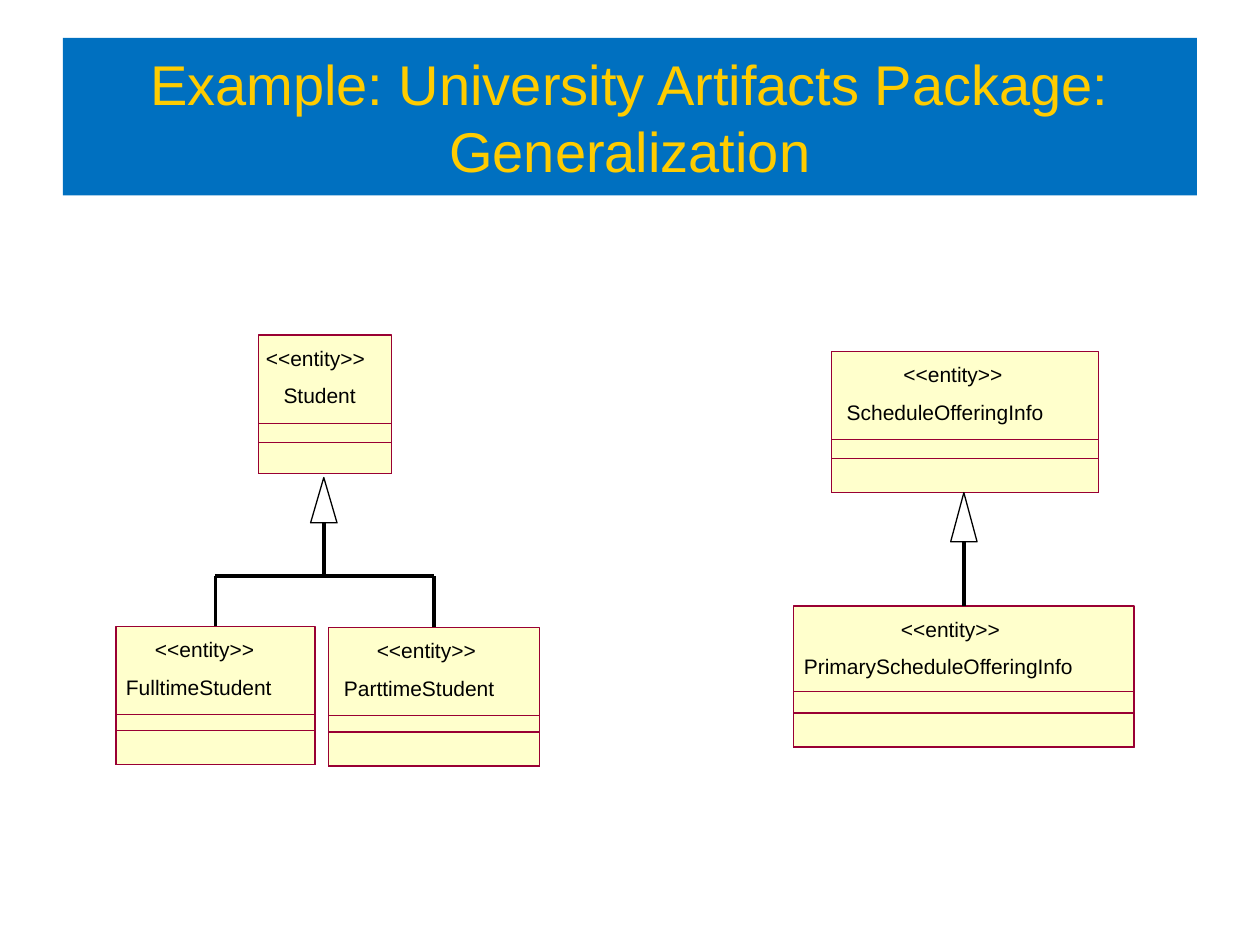
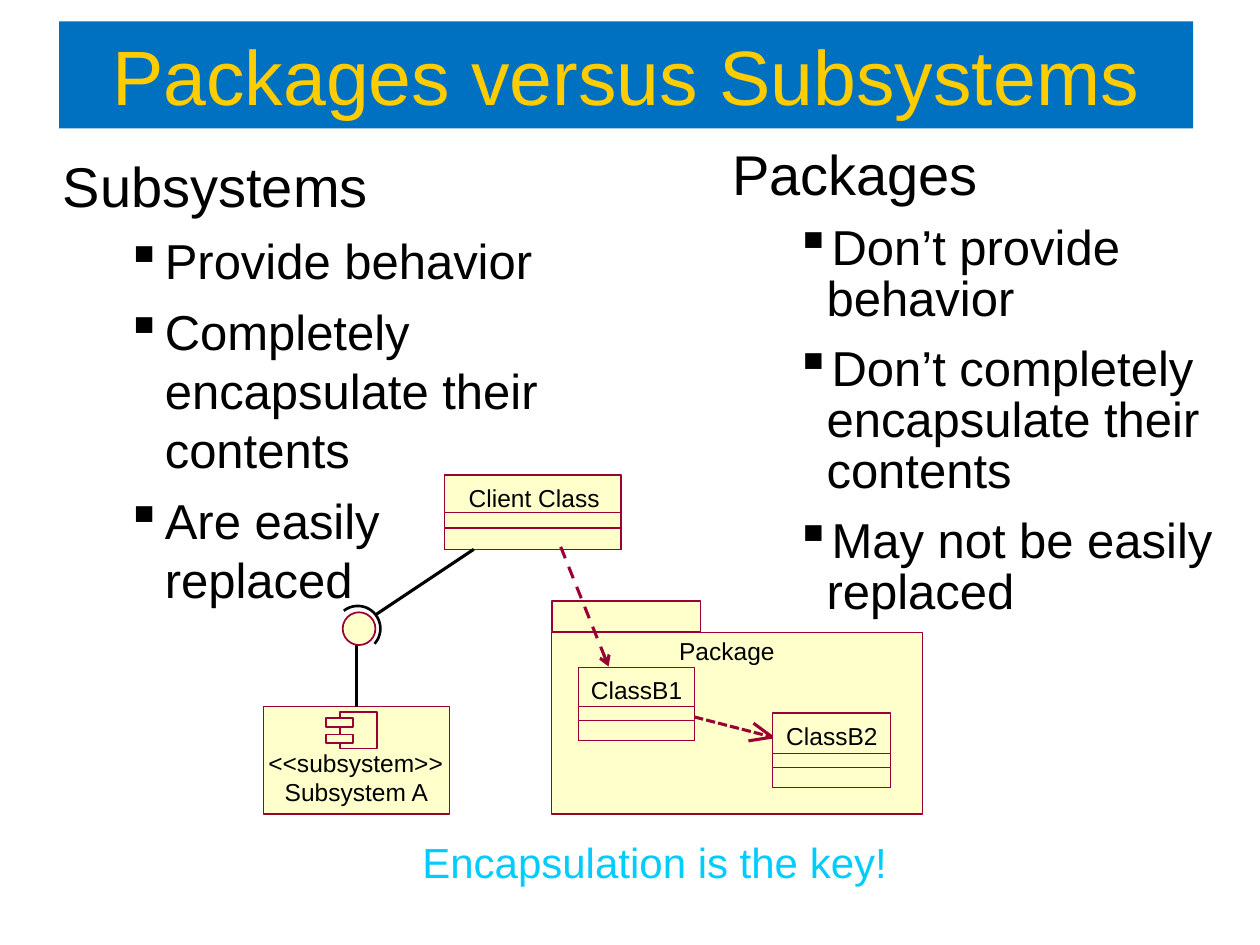
from lxml import etree
from pptx import Presentation
from pptx import util as u
from pptx.dml.color import RGBColor
from pptx.enum import dml, shapes, text
from pptx.oxml.ns import qn

CELL = 0.1
FONT = "Arial"
BLUE, GOLD, CYAN = "0070C0", "FFCC00", "00CCFF"
CREAM, WINE, BLACK = "FFFFCC", "990033", "000000"
SHAPE = shapes.MSO_SHAPE
BOLD_WINE = {"color": WINE, "width": 1.75}


def rgb(value):
    return RGBColor.from_string(value)


def grid(*cells):
    return [u.Inches(round(c * CELL, 3)) for c in cells]


def assign(obj, values):
    for name, value in values.items():
        setattr(obj, name, value)


def add_run(p, words, size, color):
    r = p.add_run()
    r.text = words
    assign(r.font, {"size": u.Pt(size), "name": FONT})
    r.font.color.rgb = rgb(color)


def set_frame(tf, insets=(1, 0.5), **values):
    x, y = grid(*insets)
    margins = {"margin_left": x, "margin_right": x, "margin_top": y, "margin_bottom": y}
    assign(tf, {**margins, "word_wrap": True, **values})


def draw_shape(s, kind, at, fill=None, line=None, width=0):
    sp = s.shapes.add_shape(kind, *grid(*at))
    sp.shadow.inherit = False
    if fill:
        sp.fill.solid()
        sp.fill.fore_color.rgb = rgb(fill)
    else:
        sp.fill.background()
    if line:
        sp.line.color.rgb = rgb(line)
        sp.line.width = u.Pt(width)
    else:
        sp.line.fill.background()
    return sp


def draw_box(s, at, fill=CREAM, width=0):
    return draw_shape(s, SHAPE.RECTANGLE, at, fill, WINE, width)


def draw_line(s, start, end, color=BLACK, width=0, dash=None, arrow=False, root=None):
    c = s.shapes.add_connector(shapes.MSO_CONNECTOR.STRAIGHT, *grid(*start, *end))
    if root is not None:
        c.begin_connect(root, 0)
    c.line.color.rgb = rgb(color)
    c.line.width = u.Pt(width)
    if dash:
        c.line.dash_style = dash
    if arrow:
        etree.SubElement(c.line._get_or_add_ln(), qn("a:tailEnd"), type="arrow")
    etree.SubElement(c._element.spPr, qn("a:effectLst"))


def add_title(s, words, at, size):
    sp = draw_shape(s, SHAPE.RECTANGLE, at, BLUE)
    set_frame(sp.text_frame, vertical_anchor=text.MSO_ANCHOR.MIDDLE)
    p = sp.text_frame.paragraphs[0]
    p.alignment = text.PP_ALIGN.CENTER
    add_run(p, words, size, GOLD)


def add_label(s, words, at, size, color=BLACK, insets=(0, 0), align=None, **values):
    tf = s.shapes.add_textbox(*grid(*at)).text_frame
    set_frame(tf, insets, word_wrap=False,
              auto_size=text.MSO_AUTO_SIZE.SHAPE_TO_FIT_TEXT, **values)
    p = tf.paragraphs[0]
    p.alignment = align
    add_run(p, words, size, color)


def add_bullets(s, at, heading, items, insets, indents, before, spacing):
    tf = s.shapes.add_textbox(*grid(*at)).text_frame
    set_frame(tf, insets)
    for i, words in enumerate([heading, *items]):
        p = tf.add_paragraph() if i else tf.paragraphs[0]
        pPr = p._p.get_or_add_pPr()
        left, hang = grid(*indents[min(i, 1)])
        pPr.set("marL", str(left))
        pPr.set("indent", str(-hang))
        if i:
            p.level = 1
            color = etree.SubElement(pPr, qn("a:buClr"))
            etree.SubElement(color, qn("a:srgbClr"), val=BLACK)
            etree.SubElement(pPr, qn("a:buChar"), char="▪")
        assign(p, {"space_before": u.Pt(before if i else 0),
                   "line_spacing": spacing[min(i, 1)]})
        add_run(p, words, 28 if i else 32, BLACK)


def add_class(s, at, compartments):
    x, y, w, h = at
    sp = draw_box(s, at)
    for depth in compartments:
        draw_box(s, (x, y + h - depth, w, depth), None)
    return sp


def add_entity(s, name, at, compartments, name_at, stereotype_at):
    sp = add_class(s, at, compartments)
    y = at[1]
    for words, (x, w), drop in (("<<entity>>", (stereotype_at, 7.9), 0.8),
                                (name, name_at, 3.8)):
        add_label(s, words, (x, y + drop, w, 2), 12)
    return sp


def add_generalization(s, tip, height, foot, root=None):
    x, y = tip
    draw_shape(s, SHAPE.ISOSCELES_TRIANGLE, (x - 1.05, y, 2.1, height), line=BLACK)
    base = (x, y + height)
    draw_line(s, (x, foot), base, root=root)


def generalization_slide(s):
    add_title(s, "Example: University Artifacts Package: Generalization",
              (5, 3, 90, 12.5), 32)
    add_entity(s, "Student", (20.5, 26.6, 10.6, 11), (4, 2.5), (22.5, 5.8), 21.1)
    full = add_entity(s, "FulltimeStudent", (9.2, 49.7, 15.8, 11), (4, 2.7), (10, 11.6), 12.3)
    part = add_entity(s, "ParttimeStudent", (26.1, 49.8, 16.7, 11), (4, 2.7), (27.3, 12), 29.9)
    add_entity(s, "ScheduleOfferingInfo", (66, 27.9, 21.2, 11.2), (4.2, 2.7), (67.2, 15.7), 71.7)
    primary = add_entity(s, "PrimaryScheduleOfferingInfo", (63, 48.1, 27, 11.2),
                         (4.4, 2.7), (63.8, 21.4), 71.5)

    branch, left, right = 45.7, 17.1, 34.45
    draw_line(s, (left, branch), (right, branch))
    for child, x in ((full, left), (part, right)):
        draw_line(s, (x, 49.7), (x, branch), root=child)
    add_generalization(s, (25.7, 37.9), 3.6, branch)
    add_generalization(s, (76.5, 39.1), 3.9, 48.1, primary)


def add_subsystem(s):
    sp = draw_box(s, (20.9, 56.1, 14.8, 8.5))
    for words, at in (("<<subsystem>>", (21.3, 59.4, 13.9, 2.3)),
                      ("Subsystem A", (22.6, 61.7, 11.5, 2.3))):
        add_label(s, words, at, 14)
    draw_box(s, (27, 56.5, 2.9, 2.9), width=1)
    for y in (57, 58.3):
        draw_box(s, (25.9, y, 2.1, 0.7), width=1)
    draw_line(s, (28.3, 56.1), (28.3, 51.2), width=1.25, root=sp)
    draw_shape(s, SHAPE.OVAL, (27.2, 48.6, 2.6, 2.6), CREAM, WINE, 1)
    socket = draw_shape(s, SHAPE.ARC, (26.6, 48.1, 3.6, 3.6), line=BLACK, width=1.5)
    for i, degrees in enumerate((232, 42)):
        socket.adjustments[i] = degrees * 0.6


def add_package(s):
    draw_box(s, (43.8, 50.2, 29.4, 14.4))
    draw_box(s, (43.8, 47.7, 11.8, 2.4))
    add_label(s, "Package B", (53.9, 50.5, 9.4, 2.3), 14)


def comparison_slide(s):
    add_title(s, "Packages versus Subsystems", (4.7, 1.7, 90, 8.5), 44)
    add_bullets(s, (4, 11.5, 42.1, 39.3), "Subsystems",
                ["Provide behavior", "Completely encapsulate their contents",
                 "Are easily replaced"],
                (1, 0.5), ((3.8, 3.8), (8.1, 3.1)), 7, (1.0, 1.0))
    add_bullets(s, (56.9, 11.5, 42.1, 39.3), "Packages",
                ["Don’t provide behavior", "Don’t completely encapsulate their contents",
                 "May not be easily replaced"],
                (1.2, 0.6), ((3.7, 3.7), (7.5, 2.5)), 10.5, (0.8, 0.87))
    add_subsystem(s)
    add_package(s)
    for name, at, compartments, (dx, w) in (
            ("Client Class", (35.3, 37.7, 14, 5.9), (2.9, 1.7), (1.9, 10.4)),
            ("ClassB1", (45.9, 53, 9.2, 5.8), (2.7, 1.6), (1, 7.3)),
            ("ClassB2", (61.3, 56.6, 9.4, 5.9), (2.7, 1.6), (1.1, 7.3))):
        add_class(s, at, compartments)
        add_label(s, name, (at[0] + dx, at[1] + 0.6, w, 2.3), 14)

    draw_line(s, (37.6, 43.6), (29.8, 48.8), width=1.75)
    draw_line(s, (44.5, 43.4), (48.3, 52.9), dash=dml.MSO_LINE.DASH, arrow=True, **BOLD_WINE)
    tip = (61.3, 58.5)
    draw_line(s, (55.1, 56.9), tip, dash=dml.MSO_LINE.SQUARE_DOT, **BOLD_WINE)
    for barb in ((59.8, 57.4), (59.4, 58.8)):
        draw_line(s, tip, barb, **BOLD_WINE)
    add_label(s, "Encapsulation is the key!", (32.5, 65.9, 38.9, 5), 24, CYAN, (1, 0.5),
              text.PP_ALIGN.CENTER, vertical_anchor=text.MSO_ANCHOR.MIDDLE)


def main():
    prs = Presentation()
    assign(prs, {"slide_width": u.Inches(10), "slide_height": u.Inches(7.5)})
    for build in (generalization_slide, comparison_slide):
        build(prs.slides.add_slide(prs.slide_layouts[6]))
    prs.save("out.pptx")


if __name__ == "__main__":
    main()
